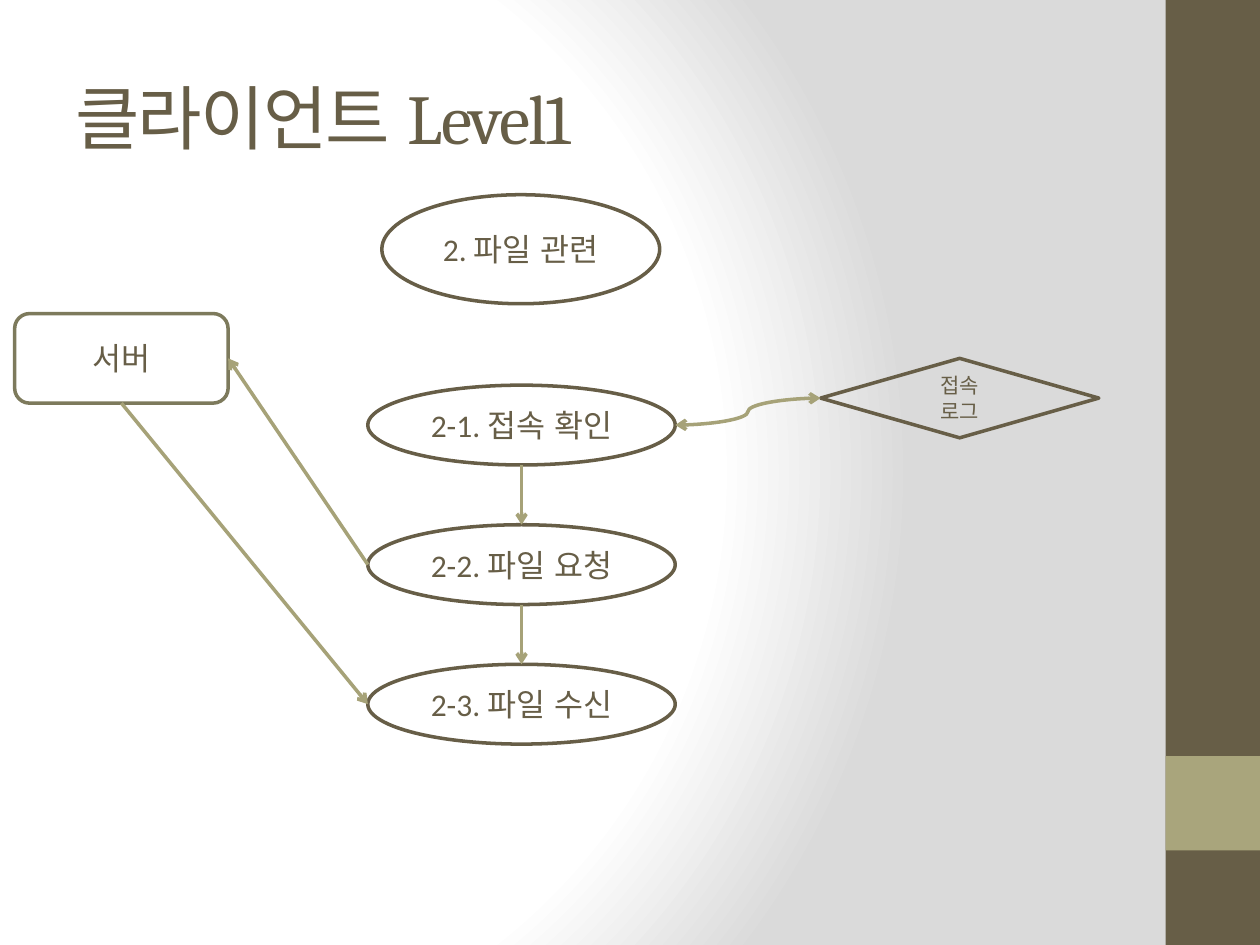
import dataclasses

import lxml.etree
import pptx
import pptx.dml.color
import pptx.enum.lang
import pptx.enum.shapes
import pptx.enum.text
import pptx.oxml
import pptx.oxml.ns
import pptx.shapes.autoshape
import pptx.shapes.connector
import pptx.slide
import pptx.text.text
import pptx.util

Pt = pptx.util.Pt
RGBColor = pptx.dml.color.RGBColor
Kind = pptx.enum.shapes.MSO_SHAPE
Route = pptx.enum.shapes.MSO_CONNECTOR
qn = pptx.oxml.ns.qn

BROWN = RGBColor(0x67, 0x5E, 0x47)
KHAKI = RGBColor(0xA9, 0xA5, 0x7C)
OLIVE = RGBColor(0x7D, 0x7A, 0x5C)
ARROW = RGBColor(0xA6, 0xA2, 0x78)
WHITE = RGBColor(0xFF, 0xFF, 0xFF)
GREY = RGBColor(0xDA, 0xDA, 0xDA)

STEP_TOP, STEP_PITCH = 220.1, 79.75


@dataclasses.dataclass(frozen=True)
class Node:
    """A labelled box of the flow, measured in points."""

    kind: Kind
    lines: tuple[str, ...]
    x: float
    y: float
    width: float
    height: float
    outline: RGBColor = BROWN
    text_size: float = 18

    def side(self, across: float, down: float) -> tuple[float, float]:
        """Return a point given as fractions of the box."""
        return self.x + self.width * across, self.y + self.height * down

    @property
    def top(self) -> tuple[float, float]:
        """Return the middle of the top edge."""
        return self.side(0.5, 0)

    @property
    def bottom(self) -> tuple[float, float]:
        """Return the middle of the bottom edge."""
        return self.side(0.5, 1)

    @property
    def left(self) -> tuple[float, float]:
        """Return the middle of the left edge."""
        return self.side(0, 0.5)

    @property
    def right(self) -> tuple[float, float]:
        """Return the middle of the right edge."""
        return self.side(1, 0.5)


@dataclasses.dataclass(frozen=True)
class Flow:
    """An arrow between two points."""

    start: tuple[float, float]
    end: tuple[float, float]
    route: Route = Route.STRAIGHT
    both_ways: bool = False


def paint_background(slide: pptx.slide.Slide) -> None:
    """Fill the background with a circular gradient."""
    slide.background.fill.gradient()
    gradient = next(slide.element.iter(qn("a:gradFill")))
    stops = "".join(
        f'<a:gs pos="{position}"><a:srgbClr val="{color}"/></a:gs>'
        for position, color in ((0, WHITE), (75000, WHITE), (100000, GREY))
    )
    circular = pptx.oxml.parse_xml(
        f'<a:gradFill {pptx.oxml.ns.nsdecls("a")} rotWithShape="1">'
        f'<a:gsLst>{stops}</a:gsLst><a:path path="circle">'
        '<a:fillToRect l="20000" t="50000" r="100000" b="50000"/>'
        "</a:path></a:gradFill>"
    )
    gradient.getparent().replace(gradient, circular)


def write_run(
    paragraph: pptx.text.text._Paragraph, text: str, font: str, size: float
) -> pptx.text.text._Run:
    """Add one brown run to a paragraph."""
    run = paragraph.add_run()
    run.text = text
    run.font.name = font
    run.font.size = Pt(size)
    run.font.color.rgb = BROWN
    run.font.language_id = pptx.enum.lang.MSO_LANGUAGE_ID.KOREAN
    return run


def draw_band(slide: pptx.slide.Slide, y: float, height: float, color: RGBColor) -> None:
    """Draw a block of the right-hand band."""
    band = slide.shapes.add_shape(Kind.RECTANGLE, Pt(666), Pt(y), Pt(54), Pt(height))
    band.shadow.inherit = False
    band.fill.solid()
    band.fill.fore_color.rgb = color
    band.line.fill.background()


def draw_title(slide: pptx.slide.Slide, text: str) -> None:
    """Write the slide title."""
    title = slide.shapes.add_textbox(Pt(36), Pt(21.6), Pt(600), Pt(90))
    title.text_frame.word_wrap = True
    title.text_frame.vertical_anchor = pptx.enum.text.MSO_ANCHOR.MIDDLE
    heading = write_run(title.text_frame.paragraphs[0], text, "Cambria", 40)
    heading.font._element.set("spc", "-100")


def draw_node(slide: pptx.slide.Slide, node: Node) -> pptx.shapes.autoshape.Shape:
    """Draw an outlined node with its centred label."""
    box = slide.shapes.add_shape(
        node.kind, Pt(node.x), Pt(node.y), Pt(node.width), Pt(node.height)
    )
    box.shadow.inherit = False
    box.fill.background()
    box.line.color.rgb = node.outline
    box.line.width = Pt(2)
    frame = box.text_frame
    frame.word_wrap = True
    frame.margin_top = frame.margin_bottom = Pt(0)
    frame.vertical_anchor = pptx.enum.text.MSO_ANCHOR.MIDDLE
    for index, line in enumerate(node.lines):
        paragraph = frame.add_paragraph() if index else frame.paragraphs[0]
        paragraph.alignment = pptx.enum.text.PP_ALIGN.CENTER
        write_run(paragraph, line, "Calibri", node.text_size)
    return box


def draw_flow(slide: pptx.slide.Slide, flow: Flow) -> pptx.shapes.connector.Connector:
    """Draw an arrow, with a second head if it runs both ways."""
    arrow = slide.shapes.add_connector(
        flow.route, *(Pt(value) for value in (*flow.start, *flow.end))
    )
    arrow.line.color.rgb = ARROW
    arrow.line.width = Pt(2)
    outline = arrow.line._get_or_add_ln()
    for end in ("a:headEnd", "a:tailEnd") if flow.both_ways else ("a:tailEnd",):
        lxml.etree.SubElement(outline, qn(end), type="arrow")
    lxml.etree.SubElement(arrow._element.spPr, qn("a:effectLst"))
    return arrow


def main() -> None:
    """Build the client flow slide."""
    deck = pptx.Presentation()
    deck.slide_width, deck.slide_height = Pt(720), Pt(540)
    slide = deck.slides.add_slide(deck.slide_layouts[6])

    server = Node(Kind.ROUNDED_RECTANGLE, ("서버",), 8.4, 179.2, 122, 51.2, OLIVE)
    topic = Node(Kind.OVAL, ("2. 파일 관련",), 218.2, 111.3, 158.8, 62.3)
    log = Node(
        Kind.DIAMOND, ("접속", "로그"), 468.9, 204.8, 159, 45.4, text_size=12
    )
    check, request, receive = steps = [
        Node(Kind.OVAL, (label,), 210.2, STEP_TOP + index * STEP_PITCH, 175.7, 45.6)
        for index, label in enumerate(("2-1. 접속 확인", "2-2. 파일 요청", "2-3. 파일 수신"))
    ]
    flows = (
        Flow(request.left, server.right),
        Flow(server.bottom, receive.left),
        Flow(check.bottom, request.top),
        Flow(request.bottom, receive.top),
        Flow(check.right, log.left, Route.CURVE, both_ways=True),
    )

    paint_background(slide)
    draw_band(slide, 0, 540, BROWN)
    draw_band(slide, 432, 54, KHAKI)
    draw_title(slide, "클라이언트 Level1")
    for node in (server, topic, log, *steps):
        draw_node(slide, node)
    for flow in flows:
        draw_flow(slide, flow)
    deck.save("out.pptx")


if __name__ == "__main__":
    main()
